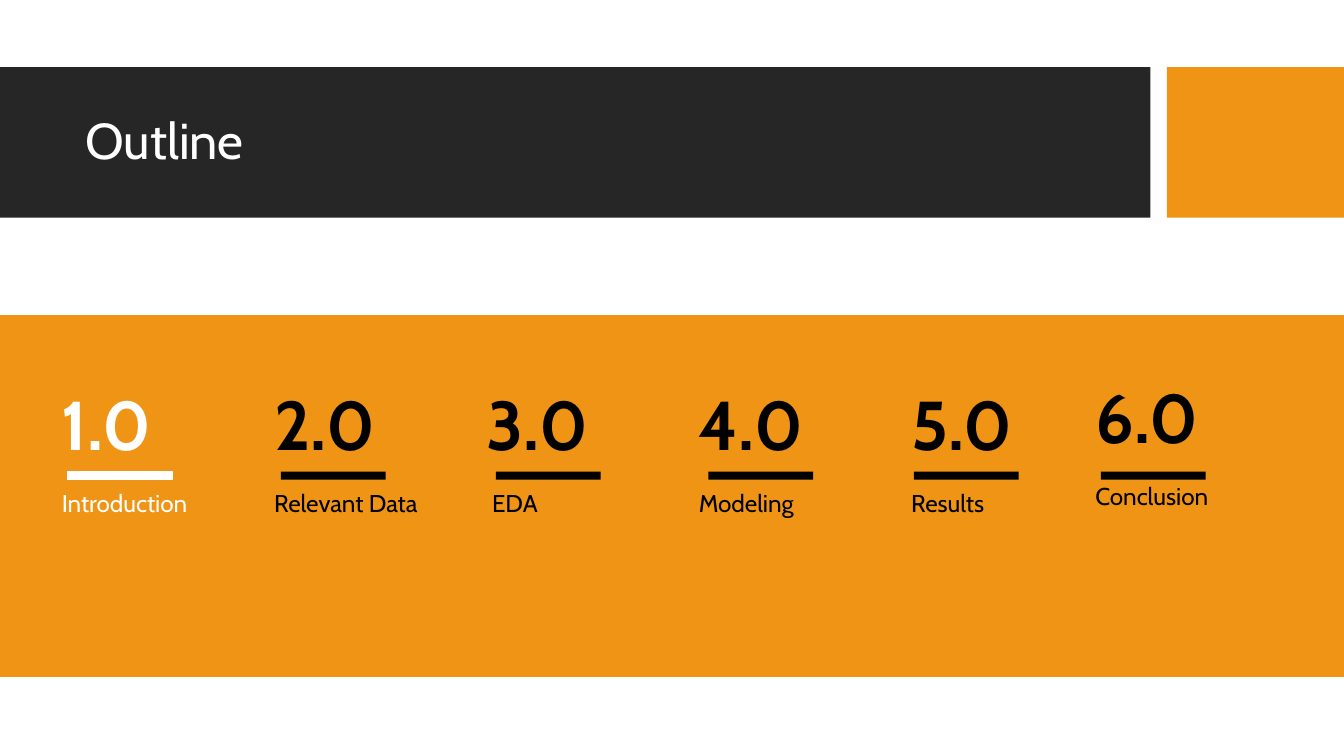
from lxml import etree
from pptx import Presentation
from pptx import util as u
from pptx.dml.color import RGBColor
from pptx.enum import shapes, text
from pptx.oxml import ns

Pt = u.Pt
FONT = "Cabin"
WHITE, BLACK, CHARCOAL, ORANGE = "FFFFFF", "000000", "262626", "F09415"
COLUMN_WIDTH, ROW_HEIGHT = 113.76, 30.24
BAR_TOP, BAR_WIDTH, BAR_HEIGHT = 252.72, 56.16, 4.32
CELL_INSET = 7.2

# number, label, colour, left edge of the bar, extra indent of the label
SECTIONS = [
    ("1.0", "Introduction", WHITE, 36, 0),
    ("2.0", "Relevant Data", BLACK, 150.5, 0),
    ("3.0", "EDA", BLACK, 265.7, 3),
    ("4.0", "Modeling", BLACK, 379.5, 0),
    ("5.0", "Results", BLACK, 489.6, 0),
    ("6.0", "Conclusion", BLACK, 589.7, 0),
]


def color(value):
    return RGBColor.from_string(value)


def add_block(slide, left, top, width, height, fill, outlined=False):
    block = slide.shapes.add_shape(
        shapes.MSO_SHAPE.RECTANGLE, Pt(left), Pt(top), Pt(width), Pt(height))
    block.shadow.inherit = False
    block.fill.solid()
    block.fill.fore_color.rgb = color(fill)
    if outlined:
        block.line.color.rgb = color(fill)
        block.line.width = Pt(0.75)
    else:
        block.line.fill.background()


def write(frame, words, size, ink, bold=False):
    paragraph = frame.paragraphs[0]
    paragraph.line_spacing = 0.9
    run = paragraph.add_run()
    run.text = words
    run.font.name = FONT
    run.font.size = Pt(size)
    run.font.bold = bold
    run.font.color.rgb = color(ink)


def clear_cell(cell):
    """Remove the borders and fill that the table style gives."""
    properties = cell._tc.get_or_add_tcPr()
    for side in ("lnL", "lnR", "lnT", "lnB"):
        border = etree.SubElement(properties, ns.qn(f"a:{side}"))
        etree.SubElement(border, ns.qn("a:noFill"))
    cell.fill.background()
    cell.margin_left = cell.margin_right = Pt(CELL_INSET)
    cell.margin_top = cell.margin_bottom = Pt(CELL_INSET)


def add_header(slide, left, top, width, height):
    add_block(slide, left, top, 616.3, height, CHARCOAL)
    accent_left = left + 625.1
    add_block(slide, accent_left, top, left + width - accent_left, height, ORANGE)
    title = slide.shapes.add_textbox(
        Pt(left + 40.3), Pt(top + 8.5), Pt(568), Pt(64)).text_frame
    title.word_wrap = True
    title.vertical_anchor = text.MSO_ANCHOR.MIDDLE
    title.margin_left = title.margin_right = Pt(5.4)
    title.margin_top = title.margin_bottom = Pt(2.7)
    write(title, "Outline", 27, WHITE)


def add_sections(slide, left, top, sections):
    """Table with one column per section: number, label and an empty row."""
    table = slide.shapes.add_table(
        3, len(sections), Pt(left), Pt(top),
        Pt(COLUMN_WIDTH * len(sections)), Pt(ROW_HEIGHT * 3)).table
    table.first_row = table.horz_banding = False
    for column in table.columns:
        column.width = Pt(COLUMN_WIDTH)
    for cell in table.iter_cells():
        clear_cell(cell)
    for index, (number, label, ink, bar_left, indent) in enumerate(sections):
        write(table.cell(0, index).text_frame, number, 37, ink, bold=True)
        label_cell = table.cell(1, index)
        label_cell.margin_left = Pt(CELL_INSET + indent)
        write(label_cell.text_frame, label, 13, ink)
        add_block(slide, bar_left, BAR_TOP, BAR_WIDTH, BAR_HEIGHT, ink,
                  outlined=ink == WHITE)


def main():
    deck = Presentation()
    deck.slide_width, deck.slide_height = Pt(720), Pt(405)
    slide = deck.slides.add_slide(deck.slide_layouts[6])
    add_header(slide, 0, 36, 720, 80.6)
    add_block(slide, 0, 169.2, 720, 193, ORANGE, outlined=True)
    add_sections(slide, 25.9, 201.6, SECTIONS[:5])
    add_sections(slide, 579.6, 198, SECTIONS[5:])
    deck.save("out.pptx")


if __name__ == "__main__":
    main()
